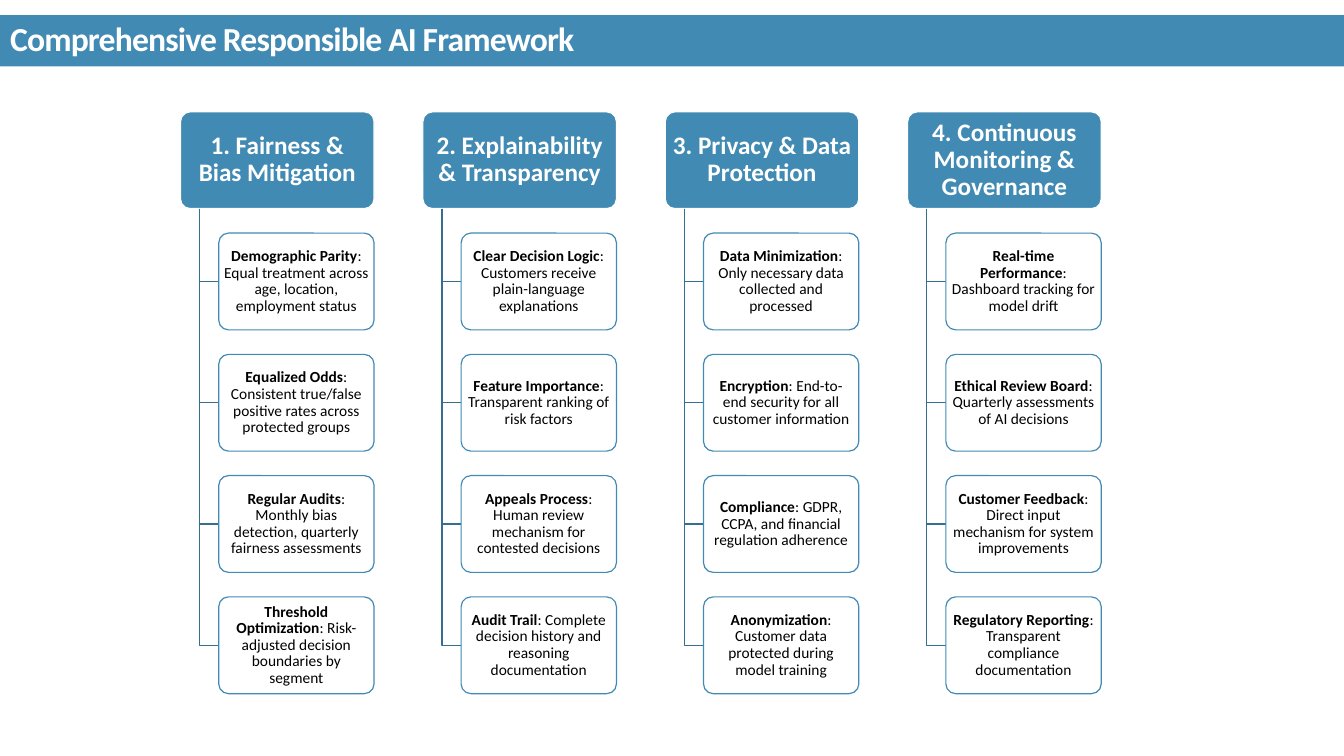
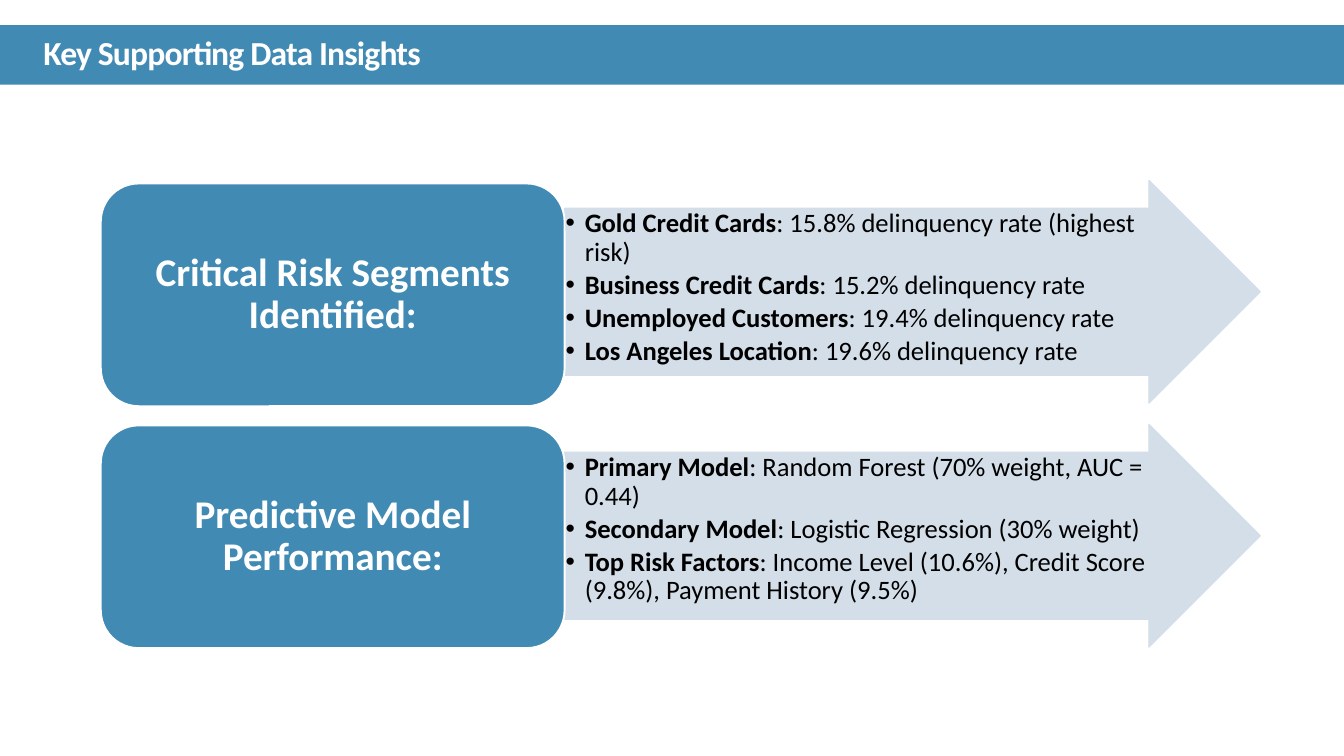
from dataclasses import dataclass

from pptx import Presentation
from pptx.dml.color import RGBColor
from pptx.enum.shapes import MSO_SHAPE
from pptx.enum.text import MSO_ANCHOR, MSO_AUTO_SIZE, PP_ALIGN
from pptx.oxml.ns import qn
from pptx.util import Inches, Pt


@dataclass(frozen=True)
class Theme:
    font: str = "Calibri"
    blue: RGBColor = RGBColor.from_string("418AB3")
    dark_blue: RGBColor = RGBColor.from_string("346F8F")
    pale_blue: RGBColor = RGBColor.from_string("D4DEE8")
    white: RGBColor = RGBColor.from_string("FFFFFF")
    black: RGBColor = RGBColor.from_string("000000")
    title_size: Pt = Pt(24)
    pillar_size: Pt = Pt(18)
    card_size: Pt = Pt(11)
    section_size: Pt = Pt(28)
    list_size: Pt = Pt(19)
    thin_line: Pt = Pt(0.85)
    thick_line: Pt = Pt(1.35)
    line_spacing: float = 0.9


theme = Theme()


def add_run(paragraph, text, size, color, bold):
    run = paragraph.add_run()
    run.text = text
    run.font.name = theme.font
    run.font.size = size
    run.font.color.rgb = color
    run.font.bold = bold


def add_box(slide, position, corner, fill, line, line_width, margins):
    shape = slide.shapes.add_shape(MSO_SHAPE.ROUNDED_RECTANGLE, *map(Inches, position))
    shape.adjustments[0] = corner
    shape.shadow.inherit = False
    shape.fill.solid()
    shape.fill.fore_color.rgb = fill
    shape.line.color.rgb = line
    shape.line.width = line_width
    frame = shape.text_frame
    frame.word_wrap = True
    frame.vertical_anchor = MSO_ANCHOR.MIDDLE
    frame.margin_left = frame.margin_right = Inches(margins[0])
    frame.margin_top = frame.margin_bottom = Inches(margins[1])
    paragraph = frame.paragraphs[0]
    paragraph.alignment = PP_ALIGN.CENTER
    paragraph.line_spacing = theme.line_spacing
    return paragraph


presentation = Presentation()
presentation.slide_width = Inches(13.33)
presentation.slide_height = Inches(7.5)

title_bands = [
    ("Title Only", "Comprehensive Responsible AI Framework", 0.15, 0.51, 0.1),
    ("Two Content", "Key Supporting Data Insights", 0.25, 0.59, 0.43),
]
for layout_name, text, top, height, margin in title_bands:
    slide = presentation.slides.add_slide(presentation.slide_layouts.get_by_name(layout_name))
    title = slide.shapes.title
    title.left, title.top = 0, Inches(top)
    title.width, title.height = presentation.slide_width, Inches(height)
    title.fill.solid()
    title.fill.fore_color.rgb = theme.blue
    frame = title.text_frame
    frame.auto_size = MSO_AUTO_SIZE.NONE
    frame.vertical_anchor = MSO_ANCHOR.MIDDLE
    frame.margin_left = Inches(margin)
    paragraph = frame.paragraphs[0]
    paragraph.alignment = PP_ALIGN.LEFT
    paragraph.line_spacing = theme.line_spacing
    add_run(paragraph, text, theme.title_size, theme.white, True)
    for properties in title.element.iter(qn("a:rPr")):
        properties.set("spc", "-60")

framework_slide, insights_slide = presentation.slides

pillars = [
    ("1. Fairness & Bias Mitigation", [
        ("Demographic Parity", ": Equal treatment across age, location, employment status"),
        ("Equalized Odds", ": Consistent true/false positive rates across protected groups"),
        ("Regular Audits", ": Monthly bias detection, quarterly fairness assessments"),
        ("Threshold Optimization", ": Risk-adjusted decision boundaries by segment"),
    ]),
    ("2. Explainability & Transparency", [
        ("Clear Decision Logic", ": Customers receive plain-language explanations"),
        ("Feature Importance", ": Transparent ranking of risk factors"),
        ("Appeals Process", ": Human review mechanism for contested decisions"),
        ("Audit Trail", ": Complete decision history and reasoning documentation"),
    ]),
    ("3. Privacy & Data Protection", [
        ("Data Minimization", ": Only necessary data collected and processed"),
        ("Encryption", ": End-to-end security for all customer information"),
        ("Compliance", ": GDPR, CCPA, and financial regulation adherence"),
        ("Anonymization", ": Customer data protected during model training"),
    ]),
    ("4. Continuous Monitoring & Governance", [
        ("Real-time Performance", ": Dashboard tracking for model drift"),
        ("Ethical Review Board", ": Quarterly assessments of AI decisions"),
        ("Customer Feedback", ": Direct input mechanism for system improvements"),
        ("Regulatory Reporting", ": Transparent compliance documentation"),
    ]),
]
pillar_left, pillar_top, pillar_width, box_height = 1.79, 1.11, 1.92, 0.96
column_pitch, row_pitch = 2.404, 1.203
spine_offset, card_offset, card_width = 0.19, 0.38, 1.54

for column, (heading, cards) in enumerate(pillars):
    left = pillar_left + column * column_pitch
    paragraph = add_box(framework_slide, (left, pillar_top, pillar_width, box_height), 0.1,
                        theme.blue, theme.white, theme.thin_line, (0.04, 0.03))
    add_run(paragraph, heading, theme.pillar_size, theme.white, True)

    spine = Inches(left + spine_offset)
    card_left = left + card_offset
    for row, (label, detail) in enumerate(cards, start=1):
        card_top = pillar_top + row * row_pitch
        card_middle = Inches(card_top + box_height / 2)
        builder = framework_slide.shapes.build_freeform(spine, Inches(pillar_top + box_height))
        builder.add_line_segments([(spine, card_middle), (Inches(card_left), card_middle)], close=False)
        branch = builder.convert_to_shape()
        branch.shadow.inherit = False
        branch.fill.background()
        branch.line.color.rgb = theme.dark_blue
        branch.line.width = theme.thin_line

        paragraph = add_box(framework_slide, (card_left, card_top, card_width, box_height), 0.1,
                            theme.white, theme.blue, theme.thin_line, (0.02, 0.02))
        add_run(paragraph, label, theme.card_size, theme.black, True)
        add_run(paragraph, detail, theme.card_size, theme.black, False)

sections = [
    ("Critical Risk Segments Identified:", 1.82, 1.79, [
        ("Gold Credit Cards", ": 15.8% delinquency rate (highest risk)"),
        ("Business Credit Cards", ": 15.2% delinquency rate"),
        ("Unemployed Customers", ": 19.4% delinquency rate"),
        ("Los Angeles Location", ": 19.6% delinquency rate"),
    ]),
    ("Predictive Model Performance:", 4.22, 4.21, [
        ("Primary Model", ": Random Forest (70% weight, AUC = 0.44)"),
        ("Secondary Model", ": Logistic Regression (30% weight)"),
        ("Top Risk Factors", ": Income Level (10.6%), Credit Score (9.8%), Payment History (9.5%)"),
    ]),
]
section_left, section_width, section_height = 1, 4.6, 2.21
arrow_left, arrow_width = section_left + section_width, 6.9
list_inset, list_width, list_height = 0.28, 5.83, 1.66
bodies = [shape for shape in insights_slide.placeholders if shape.placeholder_format.idx > 0]

for body, (heading, section_top, arrow_top, items) in zip(bodies, sections):
    arrow = insights_slide.shapes.add_shape(
        MSO_SHAPE.RIGHT_ARROW, Inches(arrow_left), Inches(arrow_top),
        Inches(arrow_width), Inches(section_height))
    arrow.adjustments[0] = 0.75
    arrow.adjustments[1] = 0.5
    arrow.shadow.inherit = False
    arrow.fill.solid()
    arrow.fill.fore_color.rgb = theme.pale_blue
    arrow.line.color.rgb = theme.pale_blue
    arrow.line.width = theme.thin_line
    body.element.addprevious(arrow.element)

    body.left, body.top = Inches(arrow_left), Inches(arrow_top + list_inset)
    body.width, body.height = Inches(list_width), Inches(list_height)
    frame = body.text_frame
    frame.auto_size = MSO_AUTO_SIZE.NONE
    frame.vertical_anchor = MSO_ANCHOR.TOP
    frame.margin_left = frame.margin_right = frame.margin_top = frame.margin_bottom = Inches(0.01)
    for index, (label, detail) in enumerate(items):
        paragraph = frame.add_paragraph() if index else frame.paragraphs[0]
        paragraph.line_spacing = theme.line_spacing
        paragraph.space_before = Pt(0)
        paragraph.space_after = Pt(3)
        add_run(paragraph, label, theme.list_size, theme.black, True)
        add_run(paragraph, detail, theme.list_size, theme.black, False)
    for properties in body.element.iter(qn("a:pPr")):
        properties.set("marL", str(Inches(0.19)))
        properties.set("indent", str(-Inches(0.19)))

    paragraph = add_box(insights_slide, (section_left, section_top, section_width, section_height), 0.17,
                        theme.blue, theme.white, theme.thick_line, (0.12, 0.06))
    add_run(paragraph, heading, theme.section_size, theme.white, True)

presentation.save("out.pptx")
